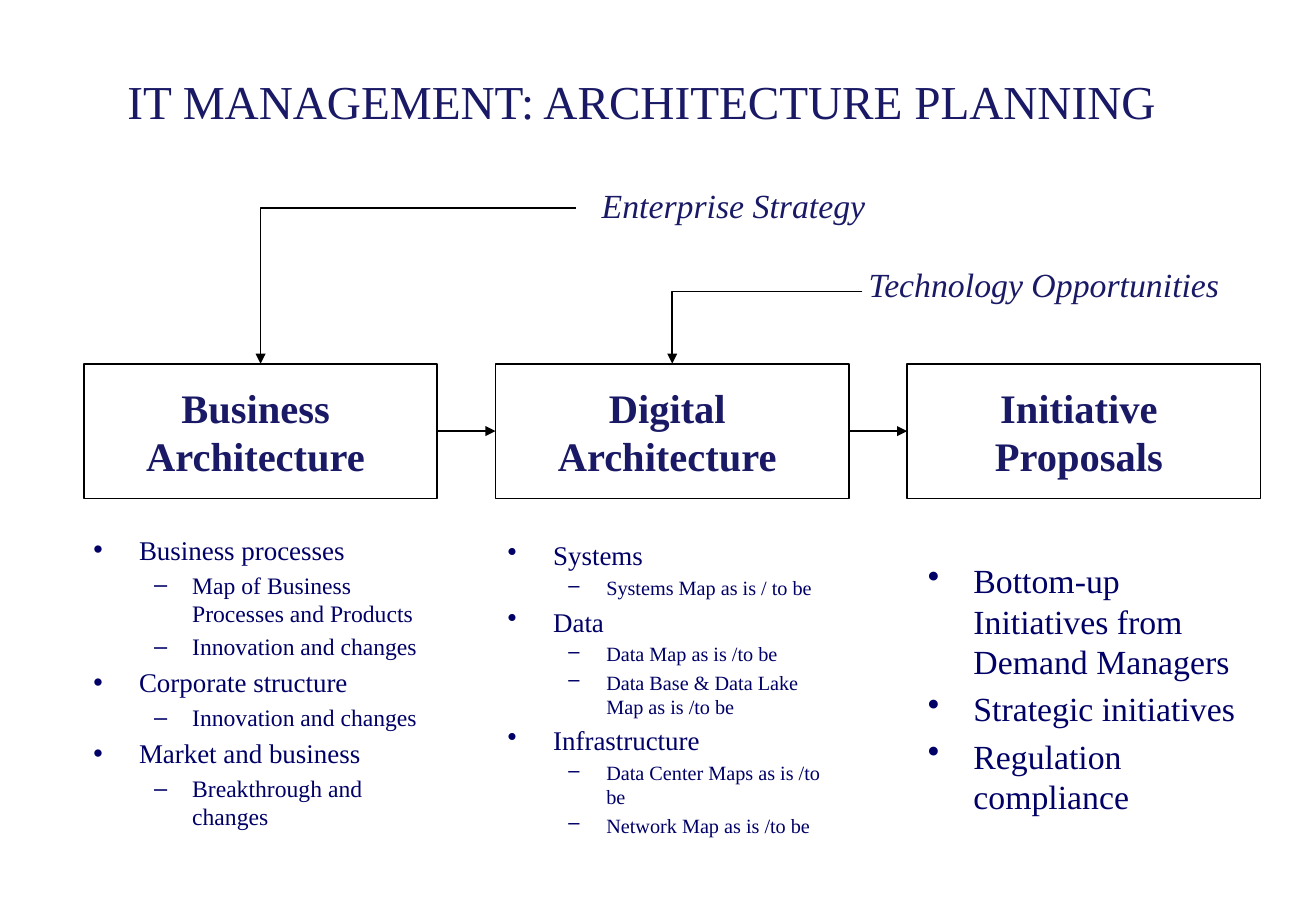
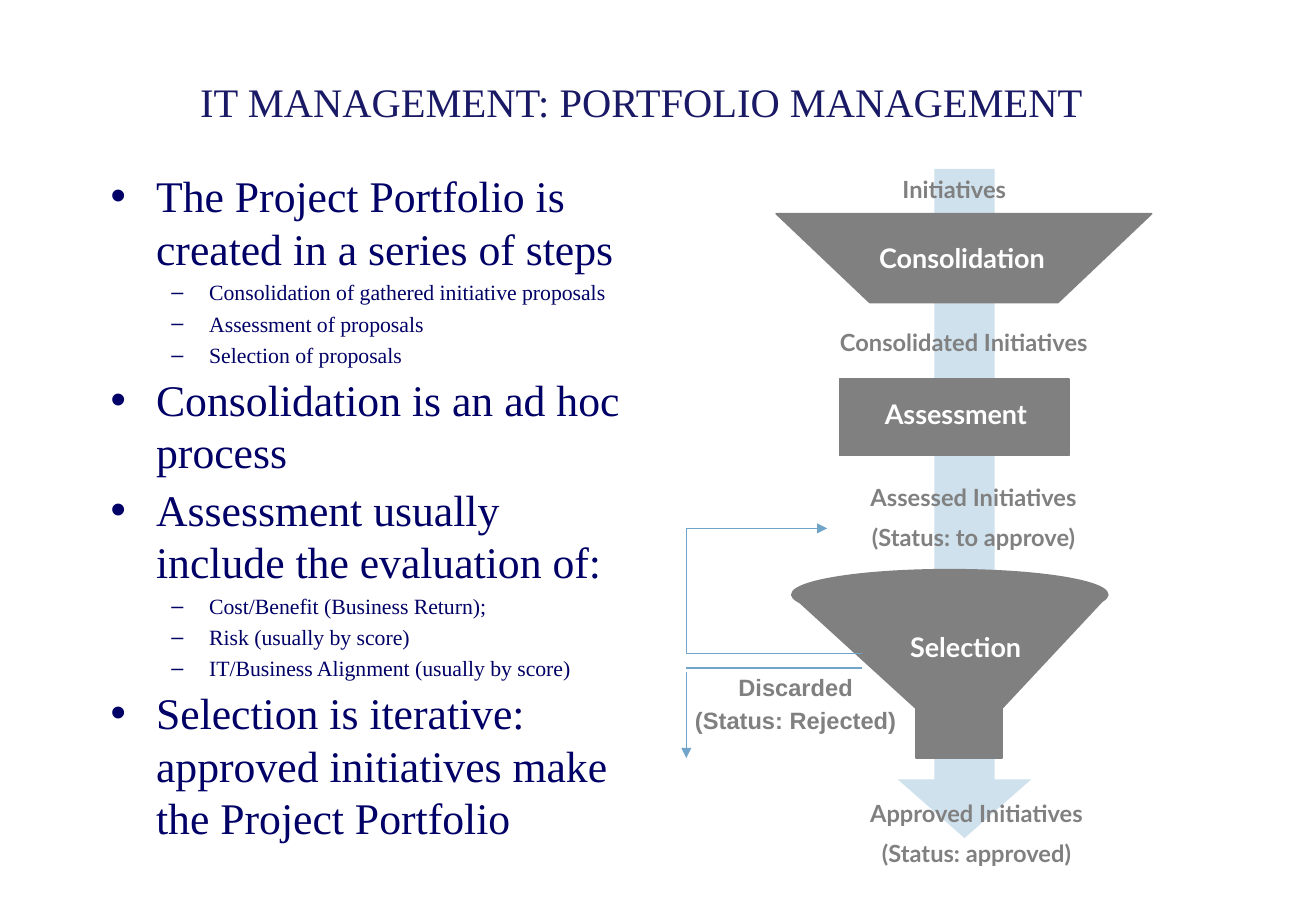
"""Build two IT management slides: architecture planning and portfolio management."""
from dataclasses import dataclass

from lxml.etree import SubElement
from pptx import Presentation
from pptx.dml.color import RGBColor
from pptx.enum.shapes import MSO_CONNECTOR, MSO_SHAPE
from pptx.enum.text import MSO_ANCHOR, MSO_AUTO_SIZE, PP_ALIGN
from pptx.oxml.ns import qn
from pptx.util import Pt


@dataclass(frozen=True)
class Theme:
    title: RGBColor = RGBColor.from_string("191966")
    body: RGBColor = RGBColor.from_string("000066")
    black: RGBColor = RGBColor.from_string("000000")
    white: RGBColor = RGBColor.from_string("FFFFFF")
    gray: RGBColor = RGBColor.from_string("808080")
    pale_blue: RGBColor = RGBColor.from_string("CFE1ED")
    blue: RGBColor = RGBColor.from_string("70A4C8")
    serif: str = "Times New Roman"
    planning_title: float = 28
    portfolio_title: float = 24
    box: float = 24
    source: float = 20
    business: tuple = (16, 14)
    digital: tuple = (16, 12)
    initiative: tuple = (20,)
    portfolio: tuple = (25.9, 12.9)
    status: float = 14
    stage: float = 16


theme = Theme()
bullets = (("•", 27, -27), ("–", 58.5, -22.5))
frame_format = {
    "word_wrap": True,
    "auto_size": MSO_AUTO_SIZE.NONE,
    "vertical_anchor": MSO_ANCHOR.MIDDLE,
}


def write_text(frame, lines, sizes, color, gaps=(0, 0), bulleted=False, **font_format):
    """Fill a text frame with (level, text) lines."""
    for name, value in frame_format.items():
        setattr(frame, name, value)
    for index, (level, text) in enumerate(lines):
        paragraph = frame.add_paragraph() if index else frame.paragraphs[0]
        paragraph.level = level
        if bulleted:
            character, margin, indent = bullets[level]
            properties = paragraph._p.get_or_add_pPr()
            properties.set("marL", str(Pt(margin)))
            properties.set("indent", str(Pt(indent)))
            SubElement(properties, qn("a:buChar")).set("char", character)
        paragraph.alignment = PP_ALIGN.LEFT if bulleted else PP_ALIGN.CENTER
        paragraph.space_before = Pt(gaps[level] if index else 0)
        run = paragraph.add_run()
        run.text = text
        for name, value in {"name": theme.serif, "size": Pt(sizes[level]), **font_format}.items():
            setattr(run.font, name, value)
        run.font.color.rgb = color


def draw_connector(slide, start, end, color, width, arrow=True, kind=MSO_CONNECTOR.STRAIGHT):
    """Draw a connector between two points, with an optional arrowhead."""
    connector = slide.shapes.add_connector(kind, *map(Pt, start + end))
    connector.line.color.rgb = color
    connector.line.width = Pt(width)
    properties = connector._element.spPr
    if arrow:
        SubElement(properties.find(qn("a:ln")), qn("a:tailEnd")).set("type", "triangle")
    SubElement(properties, qn("a:effectLst"))
    return connector


presentation = Presentation()
presentation.slide_width, presentation.slide_height = Pt(780), Pt(540)
layout = presentation.slide_layouts[1]
title_format = {"left": Pt(58.3), "top": Pt(23.8), "width": Pt(643.7), "height": Pt(72)}
for name, value in title_format.items():
    setattr(layout.placeholders[0], name, value)

slides = []
for title, size, body_place in (
    ("IT MANAGEMENT: ARCHITECTURE PLANNING", theme.planning_title, (48.2, 300.2, 211.7, 208.1)),
    ("IT MANAGEMENT: PORTFOLIO MANAGEMENT", theme.portfolio_title, (58.3, 120.2, 325.4, 360)),
):
    slide = presentation.slides.add_slide(layout)
    write_text(slide.shapes.title.text_frame, [(0, title)], (size,), theme.title)
    body = slide.placeholders[1]
    for name, value in zip(("left", "top", "width", "height"), body_place):
        setattr(body, name, Pt(value))
    slides.append(slide)
planning, portfolio = slides

box_left, box_top, box_width, box_height, box_pitch = 49.7, 215.6, 209.5, 79.9, 244
boxes = []
for index, text in enumerate(("Business Architecture", "Digital Architecture", "Initiative Proposals")):
    box = planning.shapes.add_shape(
        MSO_SHAPE.RECTANGLE,
        Pt(box_left + index * box_pitch), Pt(box_top), Pt(box_width), Pt(box_height),
    )
    box.shadow.inherit = False
    box.fill.solid()
    box.fill.fore_color.rgb = theme.white
    box.line.color.rgb = theme.black
    box.line.width = Pt(1)
    box.text_frame.margin_right = Pt(13)
    write_text(box.text_frame, [(0, text)], (theme.box,), theme.title, bold=True)
    boxes.append(box)

for before, after in zip(boxes, boxes[1:]):
    connector = draw_connector(planning, (0, 0), (0, 0), theme.black, 1)
    connector.begin_connect(before, 3)
    connector.end_connect(after, 1)

for index, (text, right, level_top, place) in enumerate((
    ("Enterprise Strategy", 341.3, 123.1, (332.6, 105.8, 204.5, 31.7)),
    ("Technology Opportunities", 511.2, 172.8, (501.8, 152.6, 234, 31.7)),
)):
    center = box_left + index * box_pitch + box_width / 2
    elbow = draw_connector(
        planning, (center, box_top), (right, level_top), theme.black, 1, kind=MSO_CONNECTOR.ELBOW
    )
    properties = elbow._element.spPr
    properties.find(qn("a:prstGeom")).set("prst", "bentConnector2")
    properties.find(qn("a:xfrm")).set("rot", "10800000")
    label = planning.shapes.add_textbox(*map(Pt, place))
    write_text(label.text_frame, [(0, text)], (theme.source,), theme.title, italic=True)

business_lines = [
    (0, "Business processes"),
    (1, "Map of Business Processes and Products"),
    (1, "Innovation and changes"),
    (0, "Corporate structure"),
    (1, "Innovation and changes"),
    (0, "Market and business"),
    (1, "Breakthrough and changes"),
]
digital_lines = [
    (0, "Systems"),
    (1, "Systems Map as is / to be"),
    (0, "Data"),
    (1, "Data Map as is /to be"),
    (1, "Data Base & Data Lake Map as is /to be"),
    (0, "Infrastructure"),
    (1, "Data Center Maps as is /to be"),
    (1, "Network Map as is /to be"),
]
initiative_lines = [
    (0, "Bottom-up Initiatives from Demand Managers"),
    (0, "Strategic initiatives"),
    (0, "Regulation compliance"),
]
digital_list, initiative_list = (
    planning.shapes.add_textbox(Pt(left), Pt(308.2), Pt(203.8), Pt(199.4)) for left in (293.8, 542.9)
)
for shape, lines, sizes in (
    (planning.placeholders[1], business_lines, theme.business),
    (digital_list, digital_lines, theme.digital),
    (initiative_list, initiative_lines, theme.initiative),
):
    gaps = [size * 0.2 for size in sizes]
    write_text(shape.text_frame, lines, sizes, theme.body, gaps, bulleted=True)

portfolio_lines = [
    (0, "The Project Portfolio is created in a series of steps"),
    (1, "Consolidation of gathered initiative proposals"),
    (1, "Assessment of proposals"),
    (1, "Selection of proposals"),
    (0, "Consolidation is an ad hoc process"),
    (0, "Assessment usually include the evaluation of:"),
    (1, "Cost/Benefit (Business Return);"),
    (1, "Risk (usually by score)"),
    (1, "IT/Business Alignment (usually by score)"),
    (0, "Selection is iterative: approved initiatives make the Project Portfolio"),
]
write_text(
    portfolio.placeholders[1].text_frame, portfolio_lines, theme.portfolio, theme.body, (3, 3), bulleted=True
)

flow_arrow = portfolio.shapes.add_shape(
    MSO_SHAPE.DOWN_ARROW, Pt(532.1), Pt(100.1), Pt(79.2), Pt(396.7)
)
flow_arrow.adjustments[0], flow_arrow.adjustments[1] = 0.45, 0.44
flow_arrow.shadow.inherit = False
flow_arrow.fill.solid()
flow_arrow.fill.fore_color.rgb = theme.pale_blue
flow_arrow.line.fill.background()

stages = []
for outline in (
    ((460.1, 126.7), (515.5, 179.3), (627.1, 179.3), (682.6, 126.7)),
    ((469.4, 352.8), (542.9, 419.8), (542.9, 449.3), (594, 449.3), (594, 419.8), (656.6, 352.8)),
):
    start, *points = [(Pt(x), Pt(y)) for x, y in outline]
    builder = portfolio.shapes.build_freeform(*start)
    builder.add_line_segments(points, close=True)
    stages.append(builder.convert_to_shape())
for kind, place in (
    (MSO_SHAPE.OVAL, (469.4, 337.7, 187.2, 29.5)),
    (MSO_SHAPE.RECTANGLE, (497.5, 224.6, 136.1, 45.4)),
):
    stages.append(portfolio.shapes.add_shape(kind, *map(Pt, place)))
for stage in stages:
    stage.shadow.inherit = False
    stage.fill.solid()
    stage.fill.fore_color.rgb = theme.gray
    stage.line.color.rgb = theme.gray
    stage.line.width = Pt(1)

loop_left, loop_right, return_top, loop_bottom, discard_top = 406.8, 511.2, 313.2, 387.4, 396
for start, end, arrow in (
    ((loop_left, return_top), (490.3, return_top), True),
    ((loop_left, loop_bottom), (loop_left, return_top), False),
    ((loop_left, loop_bottom), (loop_right, loop_bottom), False),
    ((loop_left, discard_top), (loop_right, discard_top), False),
    ((loop_left, 398.2), (loop_left, 449.3), True),
):
    draw_connector(portfolio, start, end, theme.blue, 0.75, arrow)

status_style = ("Lato", theme.status, theme.gray, 0.5)
stage_style = ("Lato", theme.stage, theme.white, 0.5)
discard_style = ("Arial", theme.status, theme.gray, 0.2)
for place, (font, size, color, gap), texts in (
    ((452.2, 100.1, 226.8, 23.8), status_style, ["Initiatives"]),
    ((492.5, 139.7, 155.5, 26.6), stage_style, ["Consolidation"]),
    ((457.9, 190.8, 226.8, 23.8), status_style, ["Consolidated Initiatives"]),
    ((497.5, 231.8, 138.2, 26.6), stage_style, ["Assessment"]),
    ((463.7, 281.5, 226.8, 49.7), status_style, ["Assessed Initiatives", "(Status: to approve)"]),
    ((503.3, 370.1, 138.2, 26.6), stage_style, ["Selection"]),
    ((360.7, 394.6, 221.8, 44.6), discard_style, ["Discarded", "(Status: Rejected)"]),
    ((473, 468.7, 211.7, 49.7), status_style, ["Approved Initiatives", "(Status: approved)"]),
):
    caption = portfolio.shapes.add_textbox(*map(Pt, place))
    lines = [(0, text) for text in texts]
    write_text(caption.text_frame, lines, (size,), color, (size * gap,), name=font, bold=True)

presentation.save("out.pptx")
